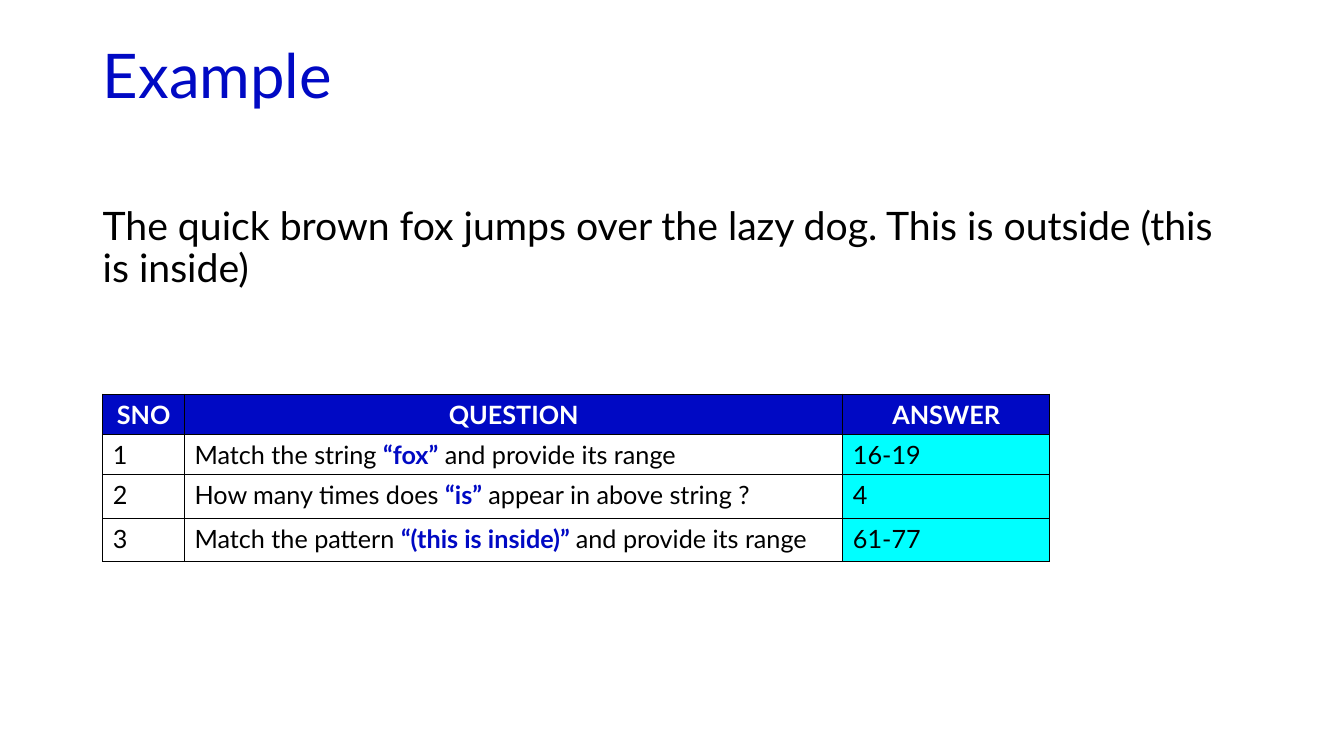
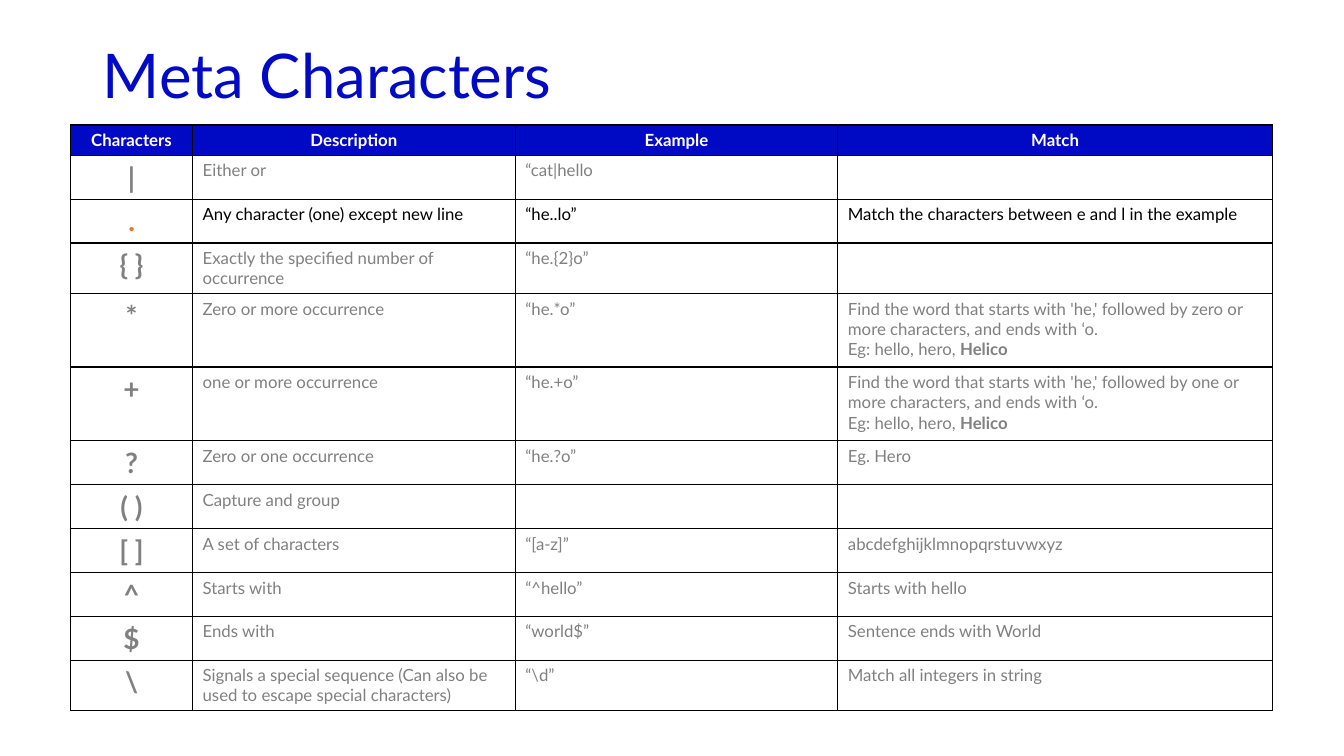
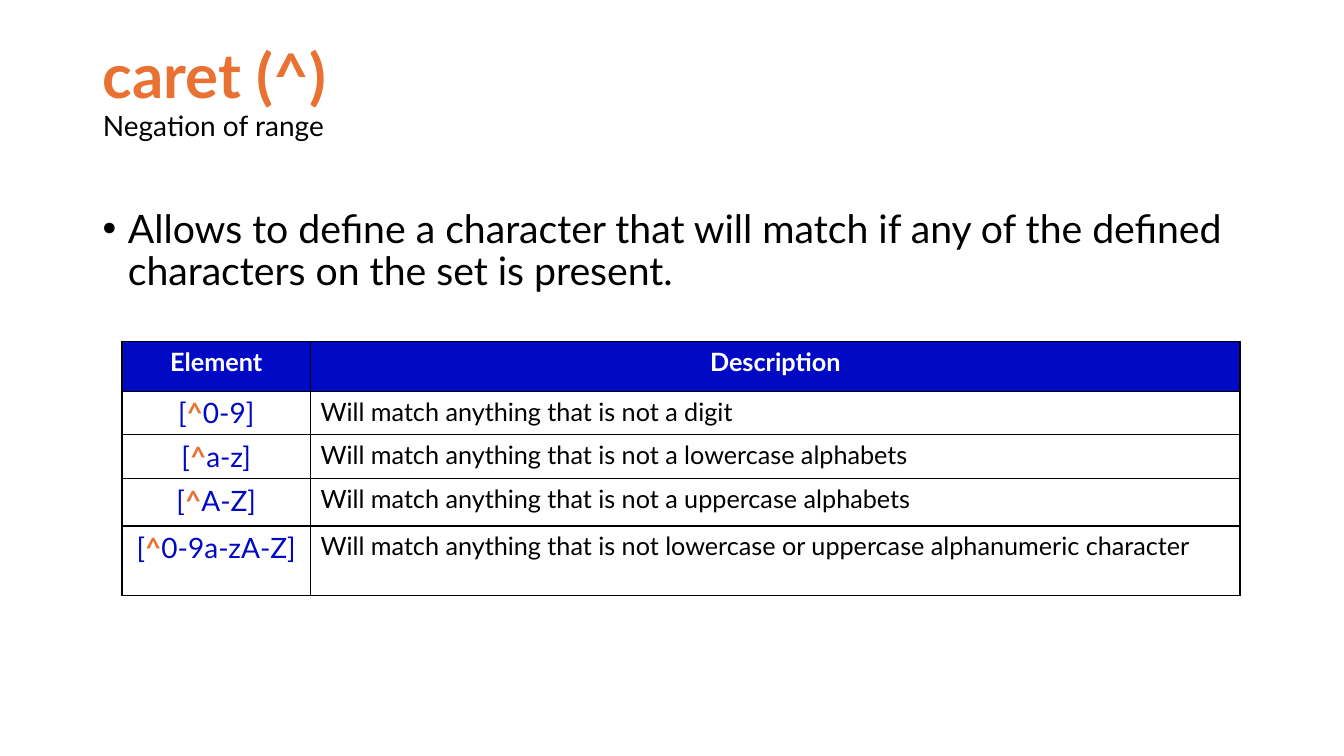
from typing import NamedTuple

from pptx import Presentation
from pptx.dml.color import RGBColor
from pptx.enum.text import MSO_ANCHOR, MSO_AUTO_SIZE, PP_ALIGN
from pptx.oxml.ns import qn
from pptx.util import Inches, Pt
from lxml.etree import SubElement

FONT = "Lato"
BLUE, ORANGE, CYAN = "0009C4", "E97132", "00FFFF"
BLACK, GREY, WHITE = "000000", "808080", "FFFFFF"
TITLE_ONLY = 5
TITLE_BOX = (0.92, 0.4, 11.5, 1.45)


class Bold(NamedTuple):
    text: str
    colour: str


class Column(NamedTuple):
    heading: str
    width: float
    size: int = 18
    colour: str = ""
    bold: bool = False
    align: PP_ALIGN = PP_ALIGN.LEFT
    fill: str = ""


def rgb(colour):
    return RGBColor.from_string(colour)


def as_list(value):
    return value if isinstance(value, list) else [value]


def style(font, size, colour, bold=False):
    font.name, font.size, font.bold = FONT, Pt(size), bold
    font.color.rgb = rgb(colour)


def write(paragraph, parts, size, colour, bold=False, align=PP_ALIGN.LEFT):
    """Fill a paragraph with plain strings and Bold parts."""
    paragraph.alignment = align
    style(paragraph.font, size, colour, bold)
    for part in as_list(parts):
        run = paragraph.add_run()
        if isinstance(part, Bold):
            run.text = part.text
            run.font.bold = True
            run.font.color.rgb = rgb(part.colour)
        else:
            run.text = part


def add_titled_slide(prs, title, colour=BLUE, bold=False, subtitle=""):
    slide = prs.slides.add_slide(prs.slide_layouts[TITLE_ONLY])
    holder = slide.shapes.title
    holder.left, holder.top, holder.width, holder.height = map(Inches, TITLE_BOX)
    frame = holder.text_frame
    frame.vertical_anchor = MSO_ANCHOR.TOP
    frame.auto_size = MSO_AUTO_SIZE.NONE
    heading = frame.paragraphs[0]
    heading.line_spacing = 0.9
    write(heading, title, 44, colour, bold)
    if subtitle:
        heading.add_line_break()
        run = heading.add_run()
        run.text = subtitle
        style(run.font, 20, BLACK)
    return slide


def add_body(slide, text, top, bullet=False):
    box = slide.shapes.add_textbox(*map(Inches, (0.92, top, 11.5, 4.76)))
    box.text_frame.word_wrap = True
    body = box.text_frame.paragraphs[0]
    body.line_spacing = 0.9
    if bullet:
        props = body._p.get_or_add_pPr()
        props.set("marL", str(Inches(0.25)))
        props.set("indent", str(Inches(-0.25)))
        SubElement(props, qn("a:buFont"), typeface="Arial")
        SubElement(props, qn("a:buChar"), char="•")
    write(body, text, 28, BLACK)


def add_borders(cell):
    props = cell._tc.get_or_add_tcPr()
    for side in ("lnL", "lnR", "lnT", "lnB"):
        line = SubElement(props, qn(f"a:{side}"), w=str(Pt(1)))
        fill = SubElement(line, qn("a:solidFill"))
        SubElement(fill, qn("a:srgbClr"), val=BLACK)


def fill_cell(cell, content, column, colour, fill):
    """Content is one paragraph, or a list of them."""
    add_borders(cell)
    if fill:
        cell.fill.solid()
        cell.fill.fore_color.rgb = rgb(fill)
    else:
        cell.fill.background()
    frame = cell.text_frame
    for i, parts in enumerate(as_list(content)):
        paragraph = frame.add_paragraph() if i else frame.paragraphs[0]
        write(paragraph, parts, column.size, colour, column.bold, column.align)


def add_grid(slide, left, top, columns, heights, rows, header_size=18,
             colour=BLACK, row_colours=None):
    """Table with a blue header; row_colours maps a row number to its text colour."""
    row_colours = row_colours or {}
    width = sum(column.width for column in columns)
    frame = slide.shapes.add_table(len(heights), len(columns), *map(
        Inches, (left, top, width, sum(heights))))
    table = frame.table
    table.horz_banding = False
    for row, height in zip(table.rows, heights):
        row.height = Inches(height)
    for c, column in enumerate(columns):
        table.columns[c].width = Inches(column.width)
        header = column._replace(size=header_size, bold=True, align=PP_ALIGN.CENTER)
        fill_cell(table.cell(0, c), column.heading, header, WHITE, BLUE)
        for r, row in enumerate(rows, 1):
            text_colour = column.colour or row_colours.get(r, colour)
            fill_cell(table.cell(r, c), row[c], column, text_colour, column.fill)


def example_slide(prs):
    slide = add_titled_slide(prs, "Example")
    add_body(slide, "The quick brown fox jumps over the lazy dog. "
                    "This is outside (this is inside)", 2)
    columns = [Column("SNO", 0.81), Column("QUESTION", 6.53),
               Column("ANSWER", 2.05, fill=CYAN)]
    rows = [
        ("1", [["Match the string ", Bold("“fox”", BLUE),
                " and provide its range"]], "16-19"),
        ("2", [["How many times does ", Bold("“is”", BLUE),
                " appear in above string ?"]], "4"),
        ("3", [["Match the pattern ", Bold("“(this is inside)” ", BLUE),
                "and provide its range"]], "61-77"),
    ]
    add_grid(slide, 1.02, 3.91, columns, [0.4, 0.4, 0.43, 0.43], rows)


def find_word(count):
    return [f"Find the word that starts with 'he,' followed by {count} or more "
            "characters, and ends with ‘o.",
            ["Eg: hello, hero, ", Bold("Helico", GREY)]]


def meta_characters_slide(prs):
    slide = add_titled_slide(prs, "Meta Characters")
    columns = [Column("Characters", 1.21, 20, bold=True, align=PP_ALIGN.CENTER),
               Column("Description", 3.2, 12), Column("Example", 3.2, 12),
               Column("Match", 4.31, 12)]
    rows = [
        ("|", "Either or", "“cat|hello", ""),
        ([Bold(".", ORANGE)], "Any character (one) except new line", "“he..lo”",
         "Match the characters between e and l in the example"),
        ("{ }", "Exactly the specified number of occurrence", "“he.{2}o”", ""),
        ("*", "Zero or more occurrence", "“he.*o”", find_word("zero")),
        ("+", "one or more occurrence", "“he.+o”", find_word("one")),
        ("?", "Zero or one occurrence", "“he.?o”", "Eg. Hero"),
        ("( )", "Capture and group", "", ""),
        ("[ ]", "A set of characters", "“[a-z]”", "abcdefghijklmnopqrstuvwxyz"),
        ("^", "Starts with", "“^hello”", "Starts with hello"),
        ("$", "Ends with", "“world$”", "Sentence ends with World"),
        ("\\", "Signals a special sequence (Can also be used to escape special "
         "characters)", "“\\d”", "Match all integers in string"),
    ]
    heights = [0.3, 0.43, 0.43, 0.5, 0.73, 0.73] + [0.43] * 5 + [0.5]
    add_grid(slide, 0.7, 1.24, columns, heights, rows, header_size=12,
             colour=GREY, row_colours={2: BLACK})


def caret_slide(prs):
    slide = add_titled_slide(prs, "caret (^)", ORANGE, True, "Negation of range")
    add_body(slide, "Allows to define a character that will match if any of the "
                    "defined characters on the set is present.", 2.03, bullet=True)
    columns = [Column("Element", 1.87, 20, BLUE, align=PP_ALIGN.CENTER),
               Column("Description", 9.22)]
    negations = [
        ("0-9", "a digit"),
        ("a-z", "a lowercase alphabets"),
        ("A-Z", "a uppercase alphabets"),
        ("0-9a-zA-Z", "lowercase or uppercase alphanumeric character"),
    ]
    rows = [([["[", Bold("^", ORANGE), f"{span}]"]],
             f"Will match anything that is not {excluded}")
            for span, excluded in negations]
    add_grid(slide, 1.21, 3.39, columns, [0.49, 0.43, 0.43, 0.47, 0.69], rows)


def main():
    prs = Presentation()
    prs.slide_width, prs.slide_height = Inches(13.33), Inches(7.5)
    example_slide(prs)
    meta_characters_slide(prs)
    caret_slide(prs)
    prs.save("out.pptx")


if __name__ == "__main__":
    main()
